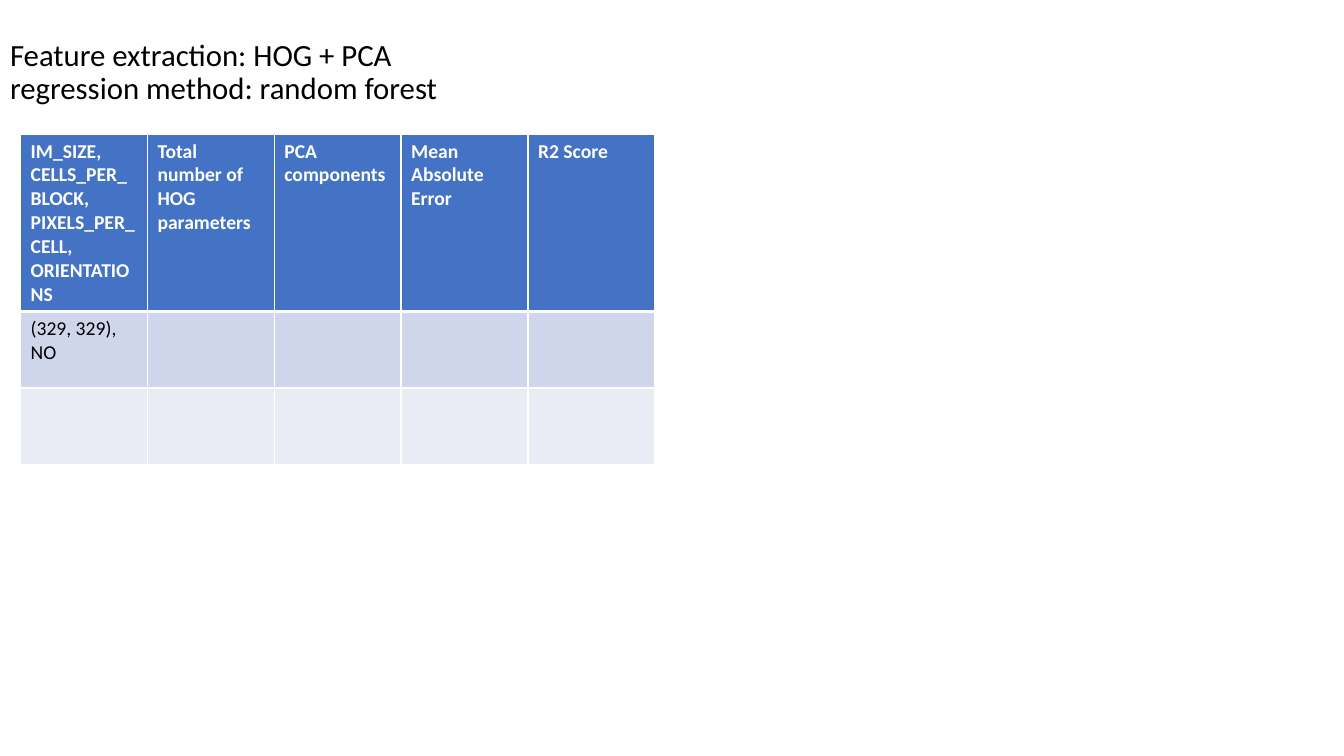
"""Build a slide with the results table for HOG + PCA with a random forest."""
import pptx
import pptx.dml.color
import pptx.enum.text
import pptx.oxml
import pptx.oxml.ns
import pptx.util

Pt = pptx.util.Pt

FONT = "Calibri"
HEADING = ["Feature extraction: HOG + PCA", "regression method: random forest"]
RESULTS = [
    ["IM_SIZE, CELLS_PER_BLOCK, PIXELS_PER_CELL, ORIENTATIONS",
     "Total number of HOG parameters", "PCA components",
     "Mean Absolute Error", "R2 Score"],
    ["(329, 329), NO", "", "", "", ""],
    ["", "", "", "", ""],
]
ROW_FILLS = ["4472C4", "CFD5EA", "E9EBF5"]
HEADER_TEXT, TEXT, BORDER = "FFFFFF", "000000", "FFFFFF"
COLUMN_WIDTH, ROW_HEIGHT = 90.6, 54.6


def colour(value):
    return pptx.dml.color.RGBColor.from_string(value)


def add_run(paragraph, text, size, ink, bold=False):
    run = paragraph.add_run()
    run.text = text
    run.font.name, run.font.size, run.font.bold = FONT, Pt(size), bold
    run.font.color.rgb = colour(ink)


def add_borders(cell, bottom):
    properties = cell._tc.get_or_add_tcPr()
    widths = {"lnL": 1, "lnR": 1, "lnT": 1, "lnB": bottom}
    for position, (side, width) in enumerate(widths.items()):
        properties.insert(position, pptx.oxml.parse_xml(
            f'<a:{side} {pptx.oxml.ns.nsdecls("a")} w="{Pt(width)}"><a:solidFill>'
            f'<a:srgbClr val="{BORDER}"/></a:solidFill></a:{side}>'))


def add_heading(slide):
    heading = slide.shapes.title
    heading.left, heading.top, heading.width, heading.height = (
        Pt(0), Pt(0), Pt(828), Pt(104.4))
    frame = heading.text_frame
    frame.auto_size = pptx.enum.text.MSO_AUTO_SIZE.NONE
    frame.vertical_anchor = pptx.enum.text.MSO_ANCHOR.MIDDLE
    paragraph = frame.paragraphs[0]
    paragraph.alignment = pptx.enum.text.PP_ALIGN.LEFT
    paragraph.line_spacing = 0.9
    for index, line in enumerate(HEADING):
        if index:
            paragraph.add_line_break()
        add_run(paragraph, line, 22, TEXT)


def add_results(slide):
    rows, columns = len(RESULTS), len(RESULTS[0])
    results = slide.shapes.add_table(
        rows, columns, Pt(14.7), Pt(96),
        Pt(columns * COLUMN_WIDTH), Pt(rows * ROW_HEIGHT)).table
    for column in results.columns:
        column.width = Pt(COLUMN_WIDTH)
    for r, (row, fill) in enumerate(zip(RESULTS, ROW_FILLS)):
        results.rows[r].height = Pt(ROW_HEIGHT)
        header = r == 0
        for c, text in enumerate(row):
            cell = results.cell(r, c)
            cell.fill.solid()
            cell.fill.fore_color.rgb = colour(fill)
            add_borders(cell, 3 if header else 1)
            if text:
                add_run(cell.text_frame.paragraphs[0], text, 14,
                        HEADER_TEXT if header else TEXT, header)


def main():
    deck = pptx.Presentation()
    deck.slide_width, deck.slide_height = Pt(960), Pt(540)
    slide = deck.slides.add_slide(deck.slide_layouts[5])
    add_heading(slide)
    add_results(slide)
    deck.save("out.pptx")


if __name__ == "__main__":
    main()
